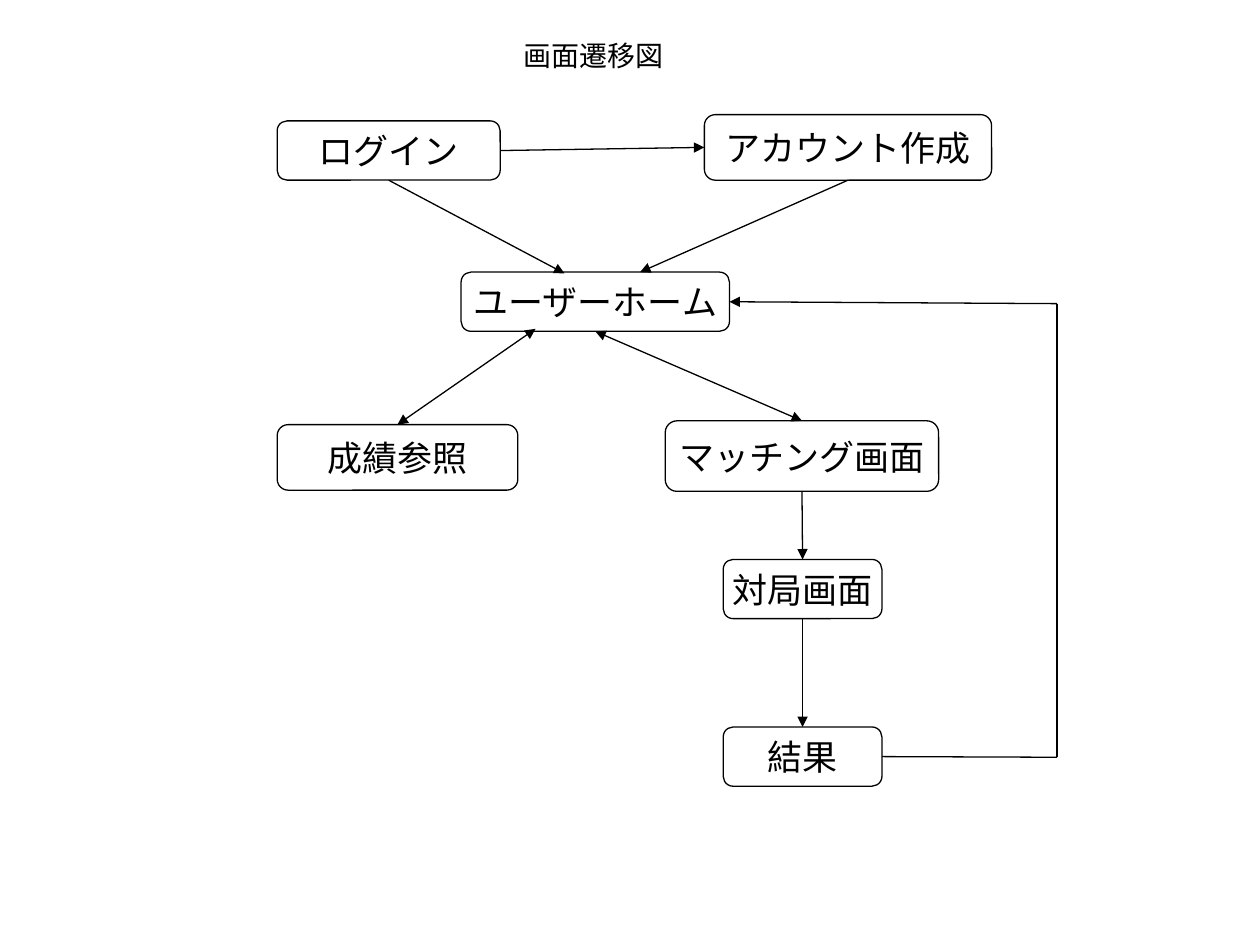
"""Build a screen transition diagram for a game application."""
import pptx
import pptx.dml.color
import pptx.enum.shapes
import pptx.enum.text
import pptx.oxml
import pptx.oxml.ns
import pptx.util
from pptx.util import Inches

BLACK = pptx.dml.color.RGBColor(0, 0, 0)
WHITE = pptx.dml.color.RGBColor(255, 255, 255)
TOP, LEFT, BOTTOM, RIGHT = range(4)


def write_text(frame, text, *, size, align, anchor, wrap, before=0):
    frame.word_wrap = wrap
    frame.vertical_anchor = anchor
    paragraph = frame.paragraphs[0]
    paragraph.alignment = align
    paragraph.space_before = pptx.util.Pt(before)
    run = paragraph.add_run()
    run.text = text
    run.font.name = "Times New Roman"
    run.font.size = pptx.util.Pt(size)
    run.font.color.rgb = BLACK


deck = pptx.Presentation()
deck.slide_width, deck.slide_height = Inches(10), Inches(7.5)
slide = deck.slides.add_slide(deck.slide_layouts[6])
slide.background.fill.solid()
slide.background.fill.fore_color.rgb = WHITE

heading = slide.shapes.add_textbox(Inches(4.06), Inches(0.26), Inches(1.34), Inches(0.37))
write_text(heading.text_frame, "画面遷移図", size=16, before=10, wrap=True,
           align=pptx.enum.text.PP_ALIGN.LEFT, anchor=pptx.enum.text.MSO_ANCHOR.TOP)

screen_places = {
    "ユーザーホーム": (3.66, 2.16, 2.13, 0.47),
    "対局画面": (5.74, 4.44, 1.26, 0.47),
    "ログイン": (2.2, 0.96, 1.77, 0.47),
    "成績参照": (2.2, 3.37, 1.91, 0.52),
    "結果": (5.74, 5.77, 1.26, 0.47),
    "マッチング画面": (5.28, 3.34, 2.17, 0.56),
    "アカウント作成": (5.59, 0.91, 2.28, 0.52),
}
screens = {}
for label, place in screen_places.items():
    screen = slide.shapes.add_shape(
        pptx.enum.shapes.MSO_SHAPE.ROUNDED_RECTANGLE, *map(Inches, place))
    screen.shadow.inherit = False
    screen.fill.background()
    screen.line.color.rgb = BLACK
    screen.line.width = pptx.util.Pt(0.75)
    write_text(screen.text_frame, label, size=20, wrap=False,
               align=pptx.enum.text.PP_ALIGN.CENTER, anchor=pptx.enum.text.MSO_ANCHOR.MIDDLE)
    screens[label] = screen

return_bottom, return_top = (8.39, 6.01), (8.39, 2.41)
transitions = [
    (("ログイン", BOTTOM), (4.48, 2.17), ["tailEnd"]),
    (("アカウント作成", BOTTOM), (5.08, 2.16), ["tailEnd"]),
    ((4.25, 2.61), ("成績参照", TOP), ["headEnd", "tailEnd"]),
    (("マッチング画面", BOTTOM), ("対局画面", TOP), ["tailEnd"]),
    (("対局画面", BOTTOM), ("結果", TOP), ["tailEnd"]),
    (("結果", RIGHT), return_bottom, []),
    (return_bottom, return_top, []),
    (return_top, ("ユーザーホーム", RIGHT), ["tailEnd"]),
    (("ログイン", RIGHT), ("アカウント作成", LEFT), ["tailEnd"]),
    (("ユーザーホーム", BOTTOM), ("マッチング画面", TOP), ["headEnd", "tailEnd"]),
]
for start, finish, arrowheads in transitions:
    start_glued, finish_glued = start[0] in screens, finish[0] in screens
    start_point = (0, 0) if start_glued else start
    finish_point = (0, 0) if finish_glued else finish
    transition = slide.shapes.add_connector(
        pptx.enum.shapes.MSO_CONNECTOR.STRAIGHT, *map(Inches, start_point + finish_point))
    if start_glued:
        transition.begin_connect(screens[start[0]], start[1])
    if finish_glued:
        transition.end_connect(screens[finish[0]], finish[1])
    transition.line.color.rgb = BLACK
    transition.line.width = pptx.util.Pt(0.75)
    outline = transition.line._get_or_add_ln()
    for arrowhead in arrowheads:
        end = pptx.oxml.parse_xml(
            f'<a:{arrowhead} {pptx.oxml.ns.nsdecls("a")} type="triangle"/>')
        outline.append(end)
    transition._element.spPr.append(
        pptx.oxml.parse_xml(f'<a:effectLst {pptx.oxml.ns.nsdecls("a")}/>'))

deck.save("out.pptx")
